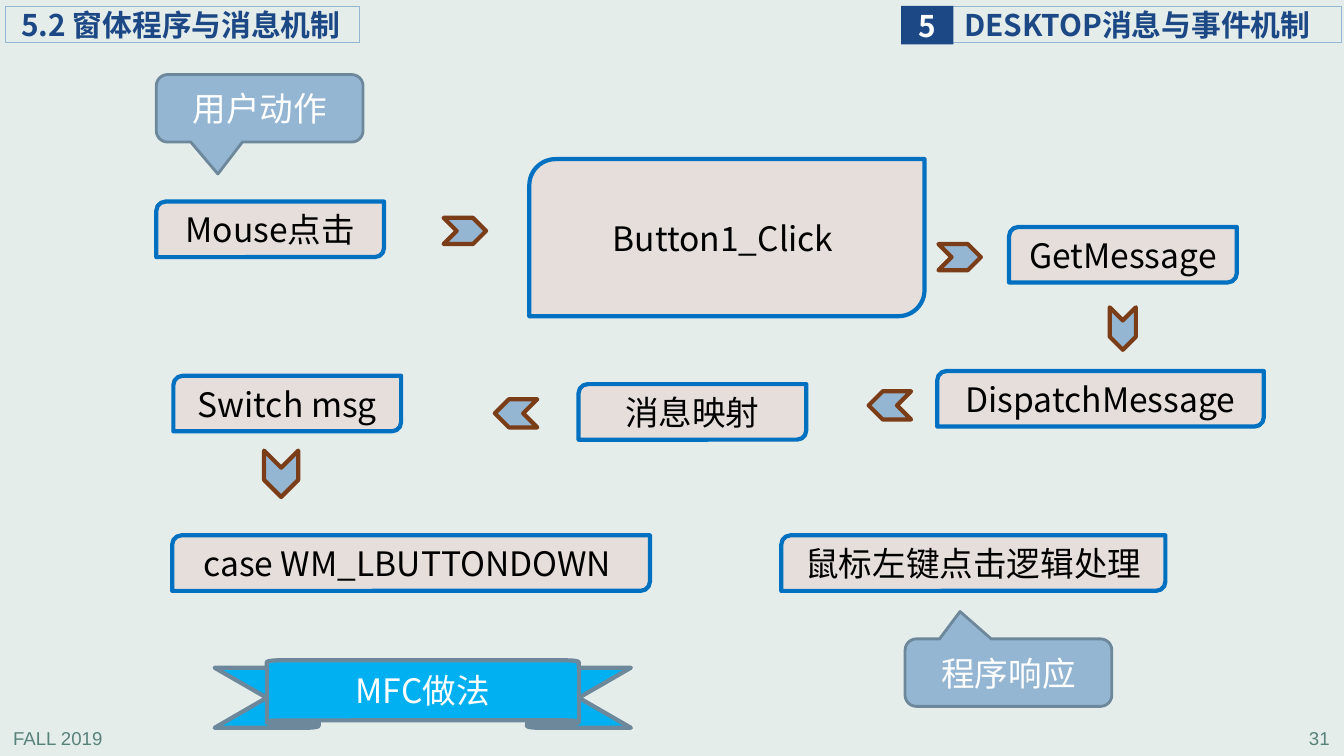
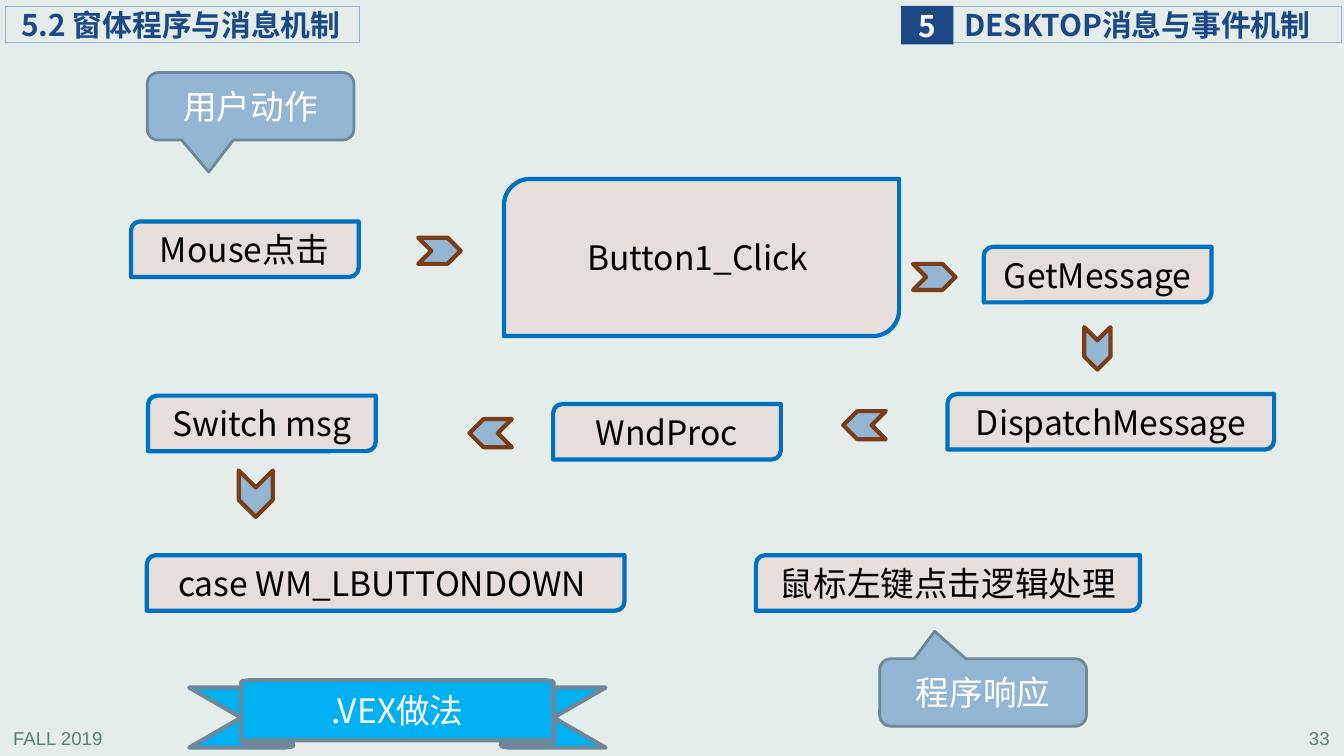
from dataclasses import dataclass

from lxml.etree import SubElement
from pptx import Presentation
from pptx.dml.color import RGBColor
from pptx.enum.shapes import MSO_SHAPE as Kind
from pptx.enum.text import MSO_ANCHOR as Anchor, MSO_AUTO_SIZE as Fit, PP_ALIGN as Align
from pptx.oxml.ns import qn
from pptx.util import Cm, Pt


@dataclass(frozen=True)
class Theme:
    back: str = "E5EDEB"
    navy: str = "1C4885"
    pale: str = "94B6D2"
    slate: str = "6D879B"
    sand: str = "E6DEDB"
    blue: str = "0070C0"
    rust: str = "7B3D17"
    sky: str = "00B0F0"
    foot: str = "578279"
    white: str = "FFFFFF"
    black: str = "000000"
    face: str = "Noto Sans CJK SC"
    plain: str = "Arial"
    head: float = 21.3
    body: float = 24
    small: float = 13.3


LOOK = Theme()
SHIFT = (-0.64, 0.5)
LOW = 1.4

STEPS = [
    ("Mouse点击", 3.94, 5.08, 5.74, LOW),
    ("Button1_Click ", 13.34, 4.01, 9.96, 3.96),
    ("GetMessage", 25.43, 5.72, 5.74, LOW),
    ("Switch msg", 4.37, 9.47, 5.74, LOW),
    ("case WM_LBUTTONDOWN ", 4.34, 13.49, 12.04, LOW),
    ("鼠标左键点击逻辑处理", 19.69, 13.49, 9.68, LOW),
]
ARROWS = [
    (11.18, 5.49, 1.07, 0.66, 0),
    (23.65, 6.15, 1.07, 0.66, 0),
    (27.76, 7.95, 1.07, 0.66, 90),
    (21.89, 9.86, 1.07, 0.71, 180),
    (12.47, 10.06, 1.07, 0.71, 180),
    (6.5, 11.51, 1.17, 0.86, 90),
]


def tint(code):
    return RGBColor.from_string(code)


def write(shape, text, size, color, face=LOOK.face, bold=False, align=Align.CENTER):
    par = shape.text_frame.paragraphs[0]
    par.text = text
    par.alignment = align
    font = par.font
    font.size, font.bold, font.name = Pt(size), bold, face
    font.color.rgb = tint(color)
    props = par._p.pPr.find(qn("a:defRPr"))
    SubElement(props, qn("a:ea")).set("typeface", face)


def inset(shape, left):
    frame = shape.text_frame
    frame.margin_left = Cm(left)
    frame.margin_right = frame.margin_top = frame.margin_bottom = 0
    frame.vertical_anchor = Anchor.MIDDLE
    frame.auto_size = Fit.NONE


def edge(shape, color, width):
    shape.line.color.rgb = tint(color)
    shape.line.width = Pt(width)


def draw(slide, kind, area, fill=None, line=None, width=0, adjust=()):
    shape = slide.shapes.add_shape(kind, *map(Cm, area))
    shape.shadow.inherit = False
    if fill:
        shape.fill.solid()
        shape.fill.fore_color.rgb = tint(fill)
    else:
        shape.fill.background()
    if line:
        edge(shape, line, width)
    else:
        shape.line.fill.background()
    for spot, value in enumerate(adjust):
        shape.adjustments[spot] = value
    return shape


def note(slide, text, left, align):
    box = slide.shapes.add_textbox(Cm(left), Cm(18.19), Cm(7.06), Cm(0.79))
    box.text_frame.word_wrap = True
    write(box, text, LOOK.small, LOOK.foot, LOOK.plain, align=align)


def band(slide, page):
    title = slide.shapes.title
    title.left, title.top, title.width, title.height = map(Cm, (0.13, 0.17, 8.92, 0.91))
    edge(title, LOOK.pale, 0.75)
    inset(title, 0.41)
    write(title, "5.2 窗体程序与消息机制", LOOK.head, LOOK.navy, bold=True, align=Align.LEFT)

    topic = draw(slide, Kind.RECTANGLE, (24, 0.17, 9.8, 0.91), None, LOOK.pale, 0.75)
    inset(topic, 0.3)
    write(topic, "DESKTOP消息与事件机制", LOOK.head, LOOK.navy, bold=True, align=Align.LEFT)

    badge = draw(slide, Kind.RECTANGLE, (22.71, 0.15, 1.32, 0.97), LOOK.navy)
    inset(badge, 0)
    badge.text_frame.word_wrap = False
    write(badge, "5", LOOK.head, LOOK.white, bold=True)

    note(slide, "FALL 2019", 0.08, Align.LEFT)
    note(slide, page, 26.7, Align.RIGHT)


def step(slide, text, *area):
    box = draw(slide, Kind.ROUND_2_DIAG_RECTANGLE, area, LOOK.sand, LOOK.blue, 3)
    write(box, text, LOOK.body, LOOK.black)


def call(slide, text, left, top, *tip):
    area = (left, top, 5.21, 1.7)
    box = draw(slide, Kind.ROUNDED_RECTANGULAR_CALLOUT, area,
               LOOK.pale, LOOK.slate, 2, (*tip, 0.167))
    write(box, text, LOOK.body, LOOK.white)


def arrow(slide, *area, turn):
    draw(slide, Kind.CHEVRON, area, LOOK.pale, LOOK.rust, 3).rotation = turn


def ribbon(slide, text, left, top):
    area = (left, top, 10.49, 1.7)
    flag = draw(slide, Kind.UP_RIBBON, area, LOOK.sky, LOOK.slate, 3, (0.11, 0.75))
    write(flag, text, LOOK.body, LOOK.white)


def flow(deck, page, method, router, user, send, shift=(0, 0)):
    slide = deck.slides.add_slide(deck.slide_layouts[5])
    right, down = shift
    band(slide, page)
    route = (router, 14.58, 9.68, 5.74, LOW)
    for text, left, top, wide, high in [*STEPS, route]:
        step(slide, text, left + right, top + down, wide, high)
    step(slide, "DispatchMessage", *send, 8.23, LOW)
    call(slide, "用户动作", *user, -0.202, 0.974)
    call(slide, "程序响应", 22.81 + right, 16.1 + down, -0.234, -0.906)
    for left, top, wide, high, turn in ARROWS:
        arrow(slide, left + right, top + down, wide, high, turn=turn)
    ribbon(slide, method, 5.41 + right, 16.64 + down)


def main():
    deck = Presentation()
    deck.slide_width, deck.slide_height = Cm(33.87), Cm(19.05)
    fill = deck.slide_master.background.fill
    fill.solid()
    fill.fore_color.rgb = tint(LOOK.back)
    flow(deck, "31", "MFC做法", "消息映射", (3.94, 1.88), (23.62, 9.35))
    flow(deck, "33", ".VEX做法", "WndProc", (3.71, 1.83), (23.88, 9.93), SHIFT)
    deck.save("out.pptx")


if __name__ == "__main__":
    main()
